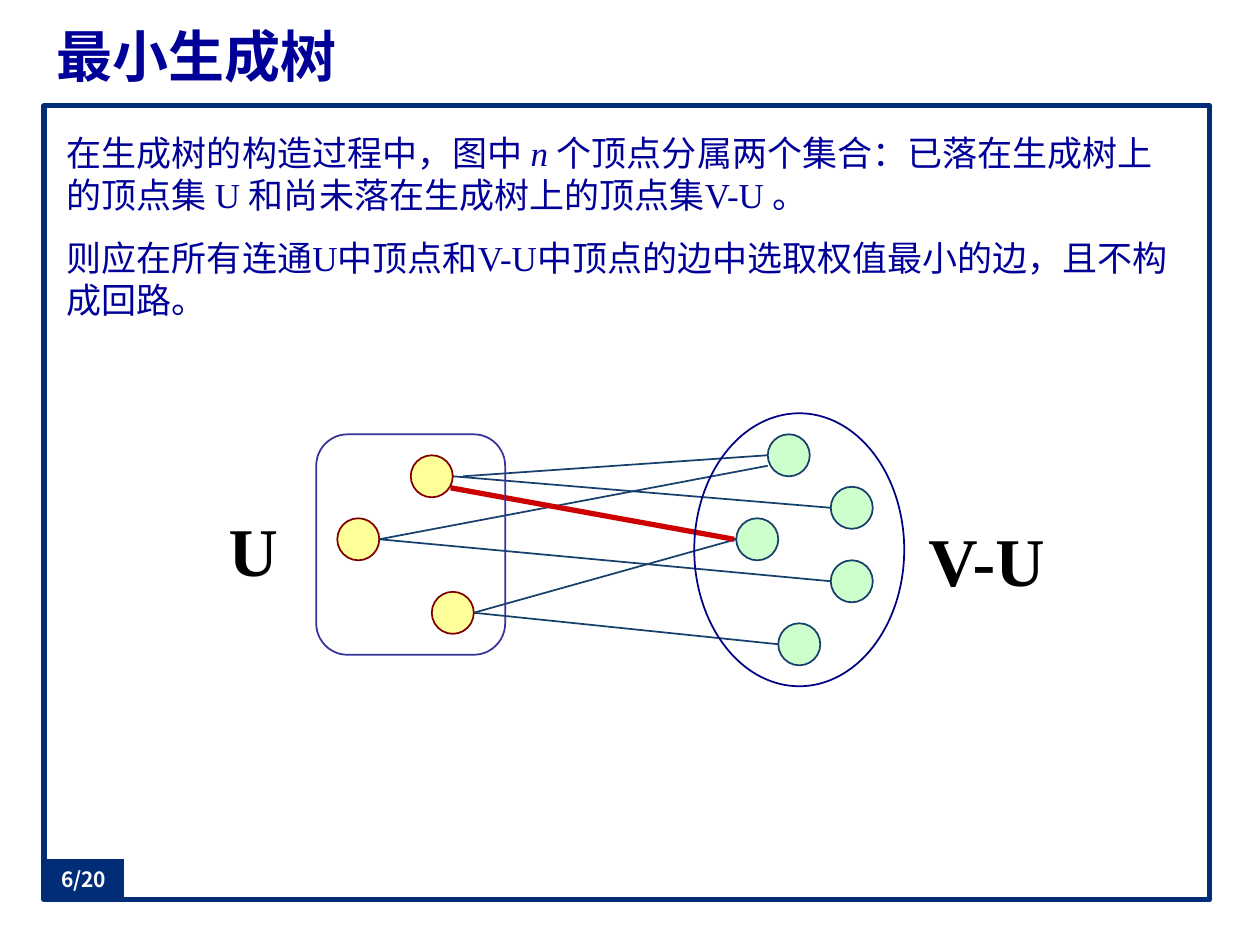
from lxml import etree
from pptx import Presentation
from pptx.dml.color import RGBColor
from pptx.enum.shapes import MSO_CONNECTOR, MSO_SHAPE
from pptx.enum.text import MSO_ANCHOR, MSO_AUTO_SIZE, PP_ALIGN
from pptx.oxml.ns import qn
from pptx.util import Inches, Pt

RECTANGLE = MSO_SHAPE.RECTANGLE
ROUNDED = MSO_SHAPE.ROUNDED_RECTANGLE
OVAL = MSO_SHAPE.OVAL
STRAIGHT = MSO_CONNECTOR.STRAIGHT
TOP, MIDDLE = MSO_ANCHOR.TOP, MSO_ANCHOR.MIDDLE
LEFT, CENTER, JUSTIFY = PP_ALIGN.LEFT, PP_ALIGN.CENTER, PP_ALIGN.JUSTIFY
NO_AUTOFIT = MSO_AUTO_SIZE.NONE

WHITE = RGBColor(0xFF, 0xFF, 0xFF)
BLACK = RGBColor(0, 0, 0)
TEXT_BLUE = RGBColor(0, 0, 0x99)
FRAME_BLUE = RGBColor(0x01, 0x2D, 0x78)
BADGE_LINE = RGBColor(0x03, 0x2C, 0x75)
EDGE_BLUE = RGBColor(0x17, 0x40, 0x6D)
TREE_LINE = RGBColor(0x33, 0x33, 0x99)
REST_LINE = RGBColor(0, 0, 0x82)
YELLOW = RGBColor(0xFF, 0xFF, 0x99)
MAROON = RGBColor(0x80, 0, 0)
GREEN = RGBColor(0xCC, 0xFF, 0xCC)
RED = RGBColor(0xCC, 0, 0)

SERIF = "Times New Roman"
SANS = "Noto Sans CJK SC"

ORIGIN_X, ORIGIN_Y = 2.51, 3.28
UNIT = 1 / 12
NODE_SIZE = 4


def add_run(paragraph, text, font=SERIF, size=20, color=TEXT_BLUE, bold=False, italic=False):
    run = paragraph.add_run()
    run.text = text
    run.font.size = Pt(size)
    run.font.bold = bold
    run.font.italic = italic
    run.font.color.rgb = color
    run.font.name = font
    east_asian = etree.SubElement(run.font._element, qn("a:ea"))
    east_asian.set("typeface", SANS)


def grid_box(column, row, columns, rows):
    return (ORIGIN_X + column * UNIT, ORIGIN_Y + row * UNIT, columns * UNIT, rows * UNIT)


class SlideBuilder:
    def __init__(self, presentation):
        self.slide = presentation.slides.add_slide(presentation.slide_layouts[1])
        self.shapes = self.slide.shapes

    def placeholder(self, index, box, anchor):
        shape = self.slide.placeholders[index]
        shape.left, shape.top, shape.width, shape.height = map(Inches, box)
        frame = shape.text_frame
        frame.word_wrap = True
        frame.auto_size = NO_AUTOFIT
        frame.vertical_anchor = anchor
        return frame

    def title(self, text, box):
        paragraph = self.placeholder(0, box, MIDDLE).paragraphs[0]
        paragraph.alignment = JUSTIFY
        add_run(paragraph, text, size=32, bold=True)

    def body(self, paragraphs, box):
        frame = self.placeholder(1, box, TOP)
        frame.margin_top = Inches(0.12)
        for number, parts in enumerate(paragraphs):
            paragraph = frame.add_paragraph() if number else frame.paragraphs[0]
            properties = paragraph._p.get_or_add_pPr()
            properties.set("marL", "0")
            properties.set("indent", "0")
            etree.SubElement(properties, qn("a:buNone"))
            paragraph.alignment = LEFT
            paragraph.line_spacing = Pt(24)
            paragraph.space_before = Pt(6 if number else 0)
            paragraph.space_after = Pt(6)
            for text, italic in parts:
                add_run(paragraph, text, italic=italic)

    def shape(self, kind, box, line, width=1, fill=None):
        shape = self.shapes.add_shape(kind, *map(Inches, box))
        shape.shadow.inherit = False
        if fill is None:
            shape.fill.background()
        else:
            shape.fill.solid()
            shape.fill.fore_color.rgb = fill
        shape.line.color.rgb = line
        shape.line.width = Pt(width)
        return shape

    def frame(self, box):
        element = self.shape(RECTANGLE, box, FRAME_BLUE, 3, WHITE)._element
        element.getparent().insert(2, element)

    def nodes(self, positions, fill, line):
        for column, row in positions:
            self.shape(OVAL, grid_box(column, row, NODE_SIZE, NODE_SIZE), line, fill=fill)

    def edge(self, start, end, color=EDGE_BLUE, width=1):
        points = [Inches(origin + value * UNIT)
                  for point in (start, end)
                  for origin, value in zip((ORIGIN_X, ORIGIN_Y), point)]
        connector = self.shapes.add_connector(STRAIGHT, *points)
        connector.line.color.rgb = color
        connector.line.width = Pt(width)
        etree.SubElement(connector._element.spPr, qn("a:effectLst"))

    def label(self, text, box):
        frame = self.shapes.add_textbox(*map(Inches, box)).text_frame
        frame.word_wrap = True
        paragraph = frame.paragraphs[0]
        paragraph.alignment = CENTER
        paragraph.line_spacing = 1.25
        add_run(paragraph, text, size=39, color=BLACK, bold=True)

    def badge(self, text, box):
        frame = self.shape(RECTANGLE, box, BADGE_LINE, 0.75, FRAME_BLUE).text_frame
        frame.margin_left = frame.margin_right = frame.margin_top = frame.margin_bottom = 0
        frame.vertical_anchor = MIDDLE
        frame.paragraphs[0].alignment = CENTER
        add_run(frame.paragraphs[0], text, font=SANS, size=12, color=WHITE, bold=True)


def main():
    presentation = Presentation()
    presentation.slide_width, presentation.slide_height = Inches(10), Inches(7.5)
    builder = SlideBuilder(presentation)

    builder.frame((0.35, 0.84, 9.25, 6.3))
    builder.title("最小生成树", (0.35, 0.13, 9.25, 0.62))
    builder.body([
        [("在生成树的构造过程中，图中 ", False), ("n ", True),
         ("个顶点分属两个集合：已落在生成树上的顶点集 U 和尚未落在生成树上的顶点集V-U 。", False)],
        [("则应在所有连通U中顶点和V-U中顶点的边中选取权值最小的边，且不构成回路。", False)],
    ], (0.43, 0.92, 9.06, 6.14))

    edges = [
        ((14, 6), (43, 4)), ((6, 12), (49, 16)), ((15, 19), (44, 22)), ((15, 19), (40, 12)),
        ((13, 6), (49, 9)), ((6, 12), (43, 5)), ((13, 7), (40, 12)),
    ]
    for start, end in edges:
        builder.edge(start, end)
    builder.edge((12.8, 7.1), (39.8, 12), RED, 3)

    builder.shape(ROUNDED, grid_box(0, 2, 18, 21), TREE_LINE)
    builder.nodes([(9, 4), (2, 10), (11, 17)], YELLOW, MAROON)
    builder.label("U", (1.69, 3.82, 0.64, 0.91))

    builder.shape(OVAL, grid_box(36, 0, 20, 26), REST_LINE)
    builder.nodes([(43, 2), (49, 7), (44, 20), (40, 10), (49, 14)], GREEN, EDGE_BLUE)
    builder.label("V-U", (7.2, 3.9, 1.26, 0.91))

    builder.badge("6/20", (0.35, 6.82, 0.63, 0.31))
    presentation.save("out.pptx")


if __name__ == "__main__":
    main()
